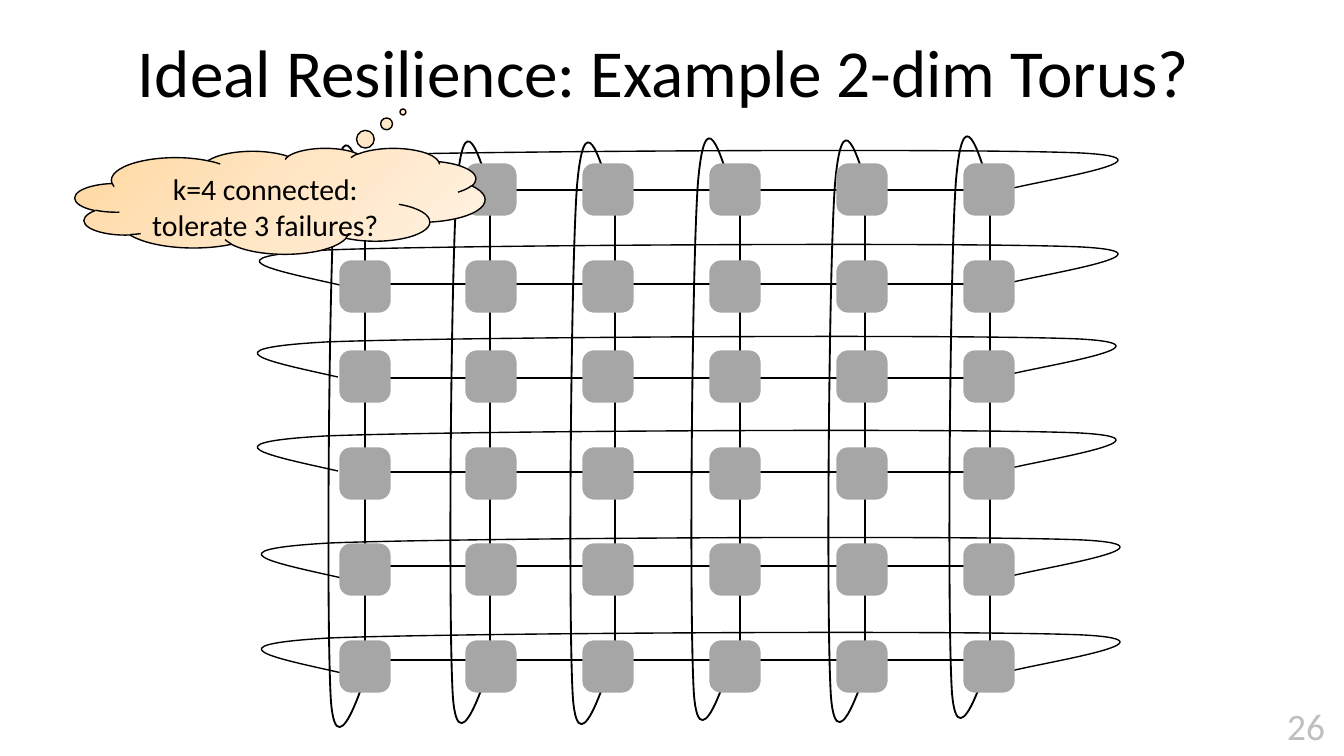
import copy
import lxml.etree
import pptx
import pptx.util
import pptx.dml.color
import pptx.enum.shapes
import pptx.enum.text
import pptx.oxml
from pptx.oxml import ns

PX = 914400 / 134.4
INK = "000000"
GRAY = "A6A6A6"
KIND = pptx.enum.shapes.MSO_SHAPE
ALIGN = pptx.enum.text.PP_ALIGN
ANCHOR = pptx.enum.text.MSO_ANCHOR

COLS = [344, 470, 587, 714, 841, 968]
ROWS = [168, 265, 355, 452, 548, 645]
TALL = [(43, 61), (29, 11), (14, -38), (7, 45), (1, 127), (-2, 478),
        (3, 556), (9, 634), (43, 513), (43, 513)]
WIDE = [(81, 40), (14, 25), (-55, 12), (69, 5), (193, 0), (709, -3),
        (822, 2), (934, 8), (758, 33), (744, 40), (730, 45), (734, 41), (738, 37)]
TALL_AT = [(328, 145), (450, 141), (570, 142), (691, 138), (828, 140), (949, 136)]
WIDE_AT = [(259, 151), (259, 245), (257, 337), (257, 431), (261, 538), (261, 633)]


def emu(*nums):
    """Turn px lengths into EMU."""
    return [pptx.util.Emu(round(num * PX)) for num in nums]


def paint(hue):
    """Turn a hex string into a colour."""
    return pptx.dml.color.RGBColor.from_string(hue)


def stroke(shape, hue, width):
    """Give a shape a plain outline and no shadow."""
    shape.shadow.inherit = False
    shape.line.color.rgb = paint(hue)
    shape.line.width = pptx.util.Pt(width)


def write(frame, text, size, hue=INK, align=ALIGN.CENTER):
    """Fill a text frame with one formatted paragraph."""
    frame.text = text
    para = frame.paragraphs[0]
    para.alignment = align
    font = para.runs[0].font
    font.name = "Calibri"
    font.size = pptx.util.Pt(size)
    font.color.rgb = paint(hue)


def bend(form, points):
    """Replace the outline of a freeform by a chain of cubic arcs."""
    track = next(form._element.iter(ns.qn("a:path")))
    for part in list(track):
        track.remove(part)
    groups = [points[:1]] + [points[i:i + 3] for i in range(1, len(points), 3)]
    for group in groups:
        tag = "a:moveTo" if len(group) == 1 else "a:cubicBezTo"
        part = lxml.etree.SubElement(track, ns.qn(tag))
        for point in group:
            x, y = emu(*point)
            lxml.etree.SubElement(part, ns.qn("a:pt"), x=str(int(x)), y=str(int(y)))


def add_loop(slide, left, top, width, height, points, weight):
    """Draw one wrap-around link in its box."""
    form = slide.shapes.build_freeform(*emu(left, top))
    form.add_line_segments([emu(left + width, top + height)], close=False)
    loop = form.convert_to_shape()
    bend(loop, points)
    loop.fill.background()
    stroke(loop, INK, weight)


def add_edge(cell, side):
    """Draw one border of a table cell."""
    cell._tc.get_or_add_tcPr().append(pptx.oxml.parse_xml(
        f'<a:{side} {ns.nsdecls("a")} w="12700"><a:solidFill>'
        f'<a:srgbClr val="{INK}"/></a:solidFill></a:{side}>'))


def add_grid(slide, left, top, width, height, count=5):
    """Draw the mesh links as an empty table."""
    frame = slide.shapes.add_table(count, count, *emu(left, top, width, height))
    table = frame.table
    table.first_row = table.horz_banding = False
    for col in table.columns:
        col.width = emu(width / count)[0]
    for row in table.rows:
        row.height = emu(height / count)[0]
    for cell in table.iter_cells():
        for side in ("lnL", "lnR", "lnT", "lnB"):
            add_edge(cell, side)
        cell.fill.background()


def add_node(slide, left, top, width, height):
    """Draw one torus node."""
    node = slide.shapes.add_shape(KIND.ROUNDED_RECTANGLE, *emu(left, top, width, height))
    node.fill.solid()
    node.fill.fore_color.rgb = paint(GRAY)
    stroke(node, GRAY, 5)


def add_torus(slide):
    """Draw the loops, the mesh and the nodes."""
    for left, top in TALL_AT:
        add_loop(slide, left, top, 42, 582, TALL, 1)
    for left, top in WIDE_AT:
        add_loop(slide, left, top, 859, 43, WIDE, 0.75)
    add_grid(slide, 365, 190, 625, 470)
    for top in ROWS:
        for left in COLS:
            add_node(slide, left, top, 42, 43)


def add_cloud(slide, left, top, width, height):
    """Draw the thought cloud with its question."""
    cloud = slide.shapes.add_shape(KIND.CLOUD_CALLOUT, *emu(left, top, width, height))
    cloud.adjustments[0] = 0.3
    cloud.adjustments[1] = -0.84
    cloud.fill.gradient()
    cloud.fill.gradient_angle = 315
    stops = cloud._element.spPr.find(ns.qn("a:gradFill")).find(ns.qn("a:gsLst"))
    stops.append(copy.deepcopy(stops[0]))
    hues = ("FFD8A0", "FFE6C5", "FFF2E3")
    for stop, place, hue in zip(cloud.fill.gradient_stops, (0, 0.5, 1), hues):
        stop.position = place
        stop.color.rgb = paint(hue)
    stroke(cloud, INK, 0.75)
    cloud.text_frame.vertical_anchor = ANCHOR.TOP
    write(cloud.text_frame, "k=4 connected: tolerate 3 failures?", 16)


def add_title(slide, left, top, width, height):
    """Place the slide title."""
    title = slide.shapes.title
    title.left, title.top, title.width, title.height = emu(left, top, width, height)
    title.text_frame.vertical_anchor = ANCHOR.MIDDLE
    write(title.text_frame, "Ideal Resilience: Example 2-dim Torus?", 36)


def add_number(slide, left, top, width, height):
    """Place the page number."""
    box = slide.shapes.add_textbox(*emu(left, top, width, height))
    box.text_frame.word_wrap = False
    write(box.text_frame, "26", 20, "BFBFBF", ALIGN.LEFT)


def main():
    """Build and save the slide."""
    deck = pptx.Presentation()
    deck.slide_width, deck.slide_height = emu(1344, 756)
    slide = deck.slides.add_slide(deck.slide_layouts[5])
    add_title(slide, 59, 8, 1210, 126)
    add_torus(slide)
    add_cloud(slide, 75, 148, 410, 106)
    add_number(slide, 1274, 697, 66, 59)
    deck.save("out.pptx")


if __name__ == "__main__":
    main()
